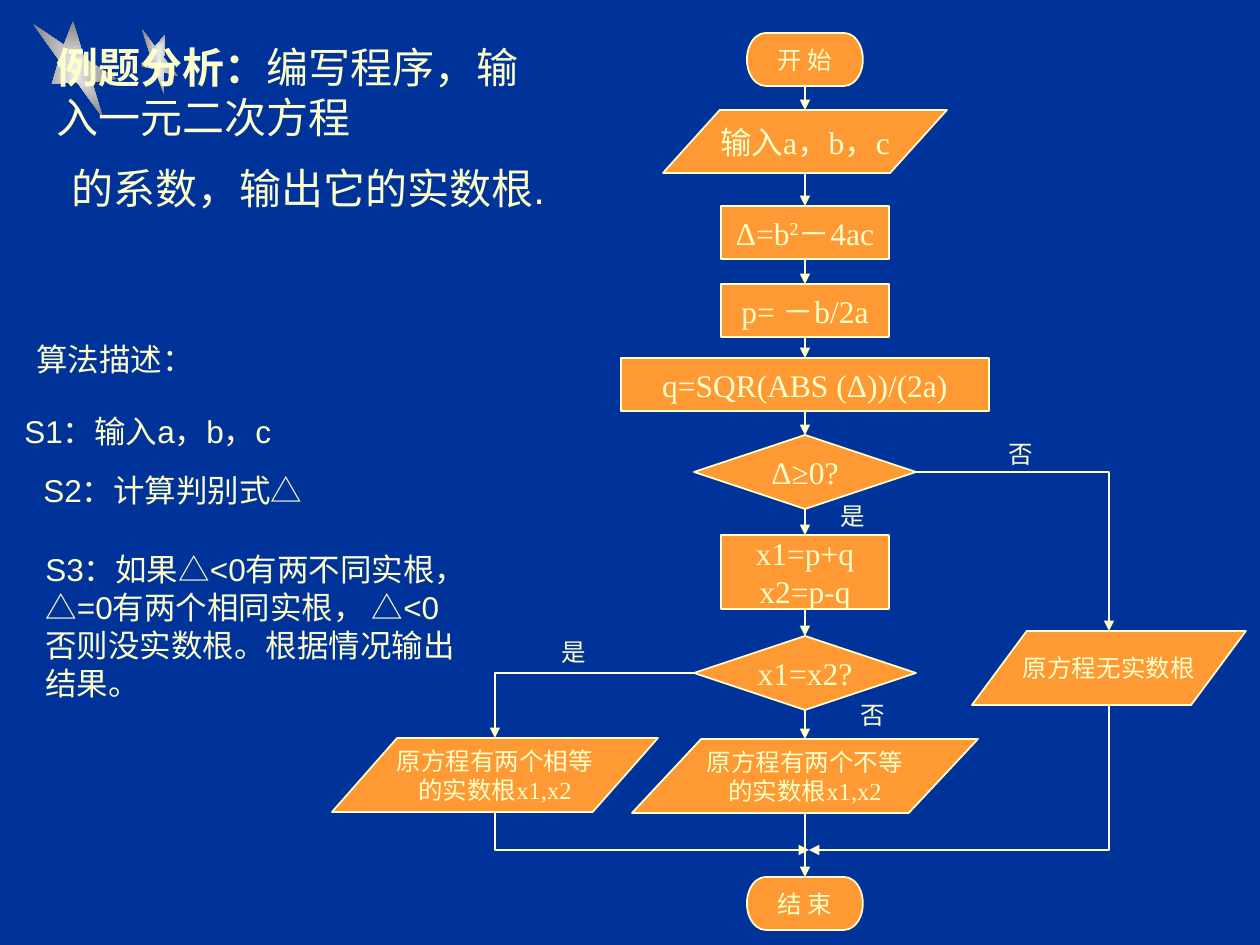
from lxml import etree
from pptx import Presentation
from pptx.dml.color import RGBColor
from pptx.enum.shapes import MSO_CONNECTOR, MSO_SHAPE
from pptx.enum.text import MSO_ANCHOR, PP_ALIGN
from pptx.oxml.ns import qn
from pptx.util import Emu, Pt

PX = 914400 // 126
TERMINATOR = MSO_SHAPE.FLOWCHART_TERMINATOR
DATA = MSO_SHAPE.FLOWCHART_DATA
PROCESS = MSO_SHAPE.FLOWCHART_PROCESS
DECISION = MSO_SHAPE.FLOWCHART_DECISION
STRAIGHT, ELBOW = MSO_CONNECTOR.STRAIGHT, MSO_CONNECTOR.ELBOW
LEFT, CENTER = PP_ALIGN.LEFT, PP_ALIGN.CENTER
MIDDLE, TOP_ANCHOR = MSO_ANCHOR.MIDDLE, MSO_ANCHOR.TOP
TOP, LEFT_SIDE, BOTTOM, RIGHT_SIDE = range(4)
CREAM, ORANGE, NAVY = "FFFFCC", "FF9933", "003399"
SANS, SERIF = "Arial", "Times New Roman"


def px(value):
    return Emu(int(value * PX))


def color(hex_code):
    return RGBColor.from_string(hex_code)


def write(shape, paragraphs, size=18, font=SERIF, align=LEFT,
          anchor=TOP_ANCHOR, wrap=False):
    """Each paragraph is a string or a list of (text, format) runs."""
    frame = shape.text_frame
    frame.word_wrap = wrap
    frame.vertical_anchor = anchor
    frame.margin_left = frame.margin_right = Pt(7.2)
    frame.margin_top = frame.margin_bottom = Pt(3.6)
    for i, runs in enumerate(paragraphs):
        paragraph = frame.add_paragraph() if i else frame.paragraphs[0]
        paragraph.alignment = align
        for words, extra in ([(runs, {})] if isinstance(runs, str) else runs):
            run = paragraph.add_run()
            run.text = words
            run.font.size = Pt(size)
            run.font.name = extra.get("font", font)
            run.font.bold = extra.get("bold", False)
            run.font.color.rgb = color(CREAM)
            if "baseline" in extra:
                run._r.get_or_add_rPr().set("baseline", extra["baseline"])


def text(slide, box, *paragraphs, **style):
    label = slide.shapes.add_textbox(*map(px, box))
    write(label, paragraphs, **style)


def node(slide, kind, center, top, width, height, *paragraphs, size=18):
    shape = slide.shapes.add_shape(
        kind, px(center - width / 2), px(top), px(width), px(height))
    shape.shadow.inherit = False
    shape.fill.solid()
    shape.fill.fore_color.rgb = color(ORANGE)
    shape.line.color.rgb = color(CREAM)
    shape.line.width = Pt(1)
    write(shape, paragraphs, size=size, align=CENTER, anchor=MIDDLE)
    return shape


def arrow(slide, kind, start, end):
    line = slide.shapes.add_connector(kind, *map(px, start + end))
    line.line.color.rgb = color(CREAM)
    line.line.width = Pt(1)
    etree.SubElement(line.line._get_or_add_ln(), qn("a:tailEnd"), type="triangle")
    etree.SubElement(line._element.spPr, qn("a:effectLst"))
    return line


def step_arrow(slide, upper, lower):
    """Vertical arrow between two nodes, joined except at slanted boxes."""
    x = (upper.left + upper.width / 2) / PX
    line = arrow(slide, STRAIGHT, (x, (upper.top + upper.height) / PX),
                 (x, lower.top / PX))
    if upper.auto_shape_type != DATA:
        line.begin_connect(upper, BOTTOM)
    if lower.auto_shape_type != DATA:
        line.end_connect(lower, TOP)


def elbow_arrow(slide, start, end, down_first=False, source=None, side=None):
    """One-bend arrow; down_first leaves the start vertically."""
    line = arrow(slide, ELBOW, start, end)
    if source is not None:
        line.begin_connect(source, side)
    line._element.spPr.find(qn("a:prstGeom")).set("prst", "bentConnector2")
    if down_first:
        # The bend is horizontal-first, so turn its box a quarter
        (x1, y1), (x2, y2) = start, end
        width, height = y2 - y1, abs(x2 - x1)
        line.left = px((x1 + x2 - width) / 2)
        line.top = px((y1 + y2 - height) / 2)
        line.width, line.height = px(width), px(height)
        xfrm = line._element.spPr.find(qn("a:xfrm"))
        xfrm.attrib.pop("flipH", None)
        xfrm.set("rot", str((270 if x2 > x1 else 90) * 60000))
        if x2 > x1:
            xfrm.set("flipH", "1")


def star(slide, points):
    builder = slide.shapes.build_freeform(*points[0], scale=PX)
    builder.add_line_segments(points[1:], close=True)
    shape = builder.convert_to_shape()
    shape.shadow.inherit = False
    shape.line.fill.background()
    shape.fill.gradient()
    for stop, shade in zip(shape.fill.gradient_stops, ("EAEAEA", "808080")):
        stop.color.rgb = color(shade)
    gradient = shape._element.spPr.find(qn("a:gradFill"))
    gradient.remove(gradient.find(qn("a:lin")))
    spread = etree.SubElement(gradient, qn("a:path"), path="rect")
    etree.SubElement(spread, qn("a:fillToRect"),
                     l="50000", t="50000", r="50000", b="50000")


def stars(slide):
    star(slide, [(164, 94), (155, 69), (141, 66), (150, 54), (142, 29),
                 (155, 47), (165, 35), (164, 58), (178, 76), (164, 72)])
    star(slide, [(103, 118), (77, 82), (52, 84), (59, 60), (33, 24),
                 (64, 45), (73, 21), (84, 58), (117, 79), (92, 82)])


def problem(slide, left, top):
    text(slide, (left, top, 525, 113),
         [("例题分析：", {"font": SERIF, "bold": True}),
          ("编写程序，输入一元二次方程", {})],
         size=24, font=SANS, wrap=True)
    text(slide, (left + 15, top + 121, 509, 63),
         "的系数，输出它的实数根.", size=24, font=SANS)


def algorithm(slide, left, top):
    for dx, dy, width, words in (
            (12, 0, 183, "算法描述："),
            (0, 72, 318, "S1：输入a，b，c"),
            (19, 131, 291, "S2：计算判别式△")):
        text(slide, (left + dx, top + dy, width, 50), words, font=SANS)
    text(slide, (left + 21, top + 210, 446, 164),
         "S3：如果△<0有两不同实根， △=0有两个相同实根， △<0否则没实数根。根据情况输出结果。",
         font=SANS, wrap=True)


def flowchart(slide, axis, top):
    equal_axis, none_axis = axis - 310, axis + 304

    # Main column
    start = node(slide, TERMINATOR, axis, top, 116, 53, "开 始", size=14)
    entry = node(slide, DATA, axis, top + 77, 284, 63, "输入a，b，c")
    delta = node(slide, PROCESS, axis, top + 173, 168, 53,
                 [("Δ=b", {}), ("2", {"baseline": "30000"}), ("－4ac", {})])
    p_term = node(slide, PROCESS, axis, top + 251, 168, 53, "p= －b/2a")
    q_term = node(slide, PROCESS, axis, top + 325, 368, 53, "q=SQR(ABS (Δ))/(2a)")
    real = node(slide, DECISION, axis, top + 402, 222, 74, "Δ≥0?")
    roots = node(slide, PROCESS, axis, top + 502, 168, 74, "x1=p+q", "x2=p-q")
    same = node(slide, DECISION, axis, top + 603, 222, 74, "x1=x2?")
    unequal = node(slide, DATA, axis, top + 706, 346, 74,
                   "原方程有两个不等", "的实数根x1,x2", size=14)
    finish = node(slide, TERMINATOR, axis, top + 844, 116, 53, "结 束", size=14)

    # Side branches
    node(slide, DATA, equal_axis, top + 705, 326, 74,
         "原方程有两个相等", "的实数根x1,x2", size=14)
    node(slide, DATA, none_axis, top + 598, 274, 74, "原方程无实数根", size=14)

    # Arrows
    column = [start, entry, delta, p_term, q_term, real, roots, same, unequal, finish]
    for upper, lower in zip(column, column[1:]):
        step_arrow(slide, upper, lower)
    elbow_arrow(slide, (axis + 111, top + 439), (none_axis, top + 598),
                source=real, side=RIGHT_SIDE)
    elbow_arrow(slide, (axis - 111, top + 640), (equal_axis, top + 705),
                source=same, side=LEFT_SIDE)
    merge = (axis + 4, top + 817)
    elbow_arrow(slide, (none_axis, top + 672), merge, down_first=True)
    elbow_arrow(slide, (equal_axis, top + 779), merge, down_first=True)

    # Branch answers
    for dx, dy, answer in ((23, 462, "是"), (191, 400, "否"),
                           (-256, 598, "是"), (43, 661, "否")):
        text(slide, (axis + dx, top + dy, 49, 43), answer, size=14, align=CENTER)


def main():
    deck = Presentation()
    deck.slide_width, deck.slide_height = px(1260), px(945)
    slide = deck.slides.add_slide(deck.slide_layouts[6])
    slide.background.fill.solid()
    slide.background.fill.fore_color.rgb = color(NAVY)
    stars(slide)
    problem(slide, 44, 35)
    algorithm(slide, 12, 334)
    flowchart(slide, 805, 33)
    deck.save("out.pptx")


if __name__ == "__main__":
    main()
